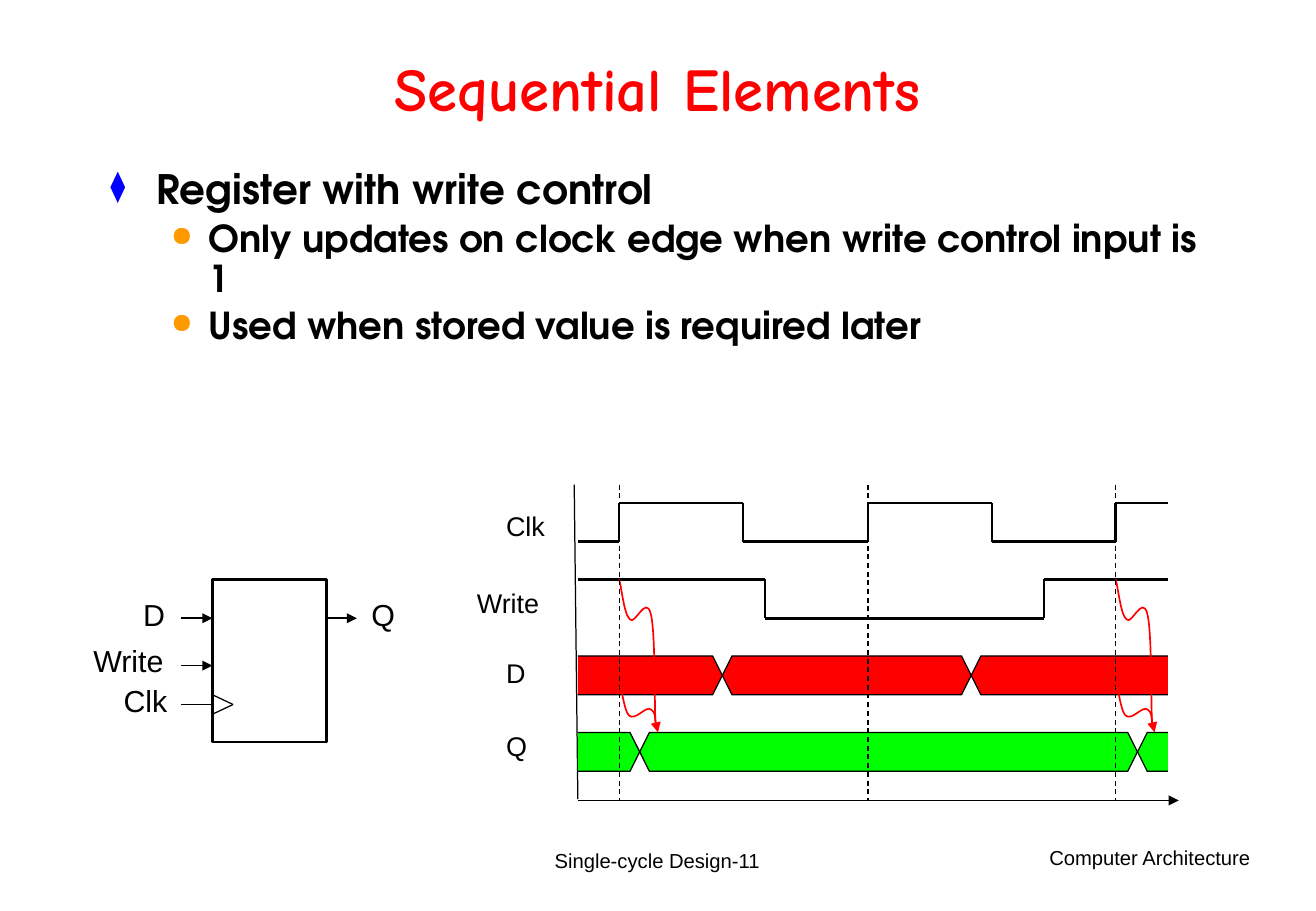
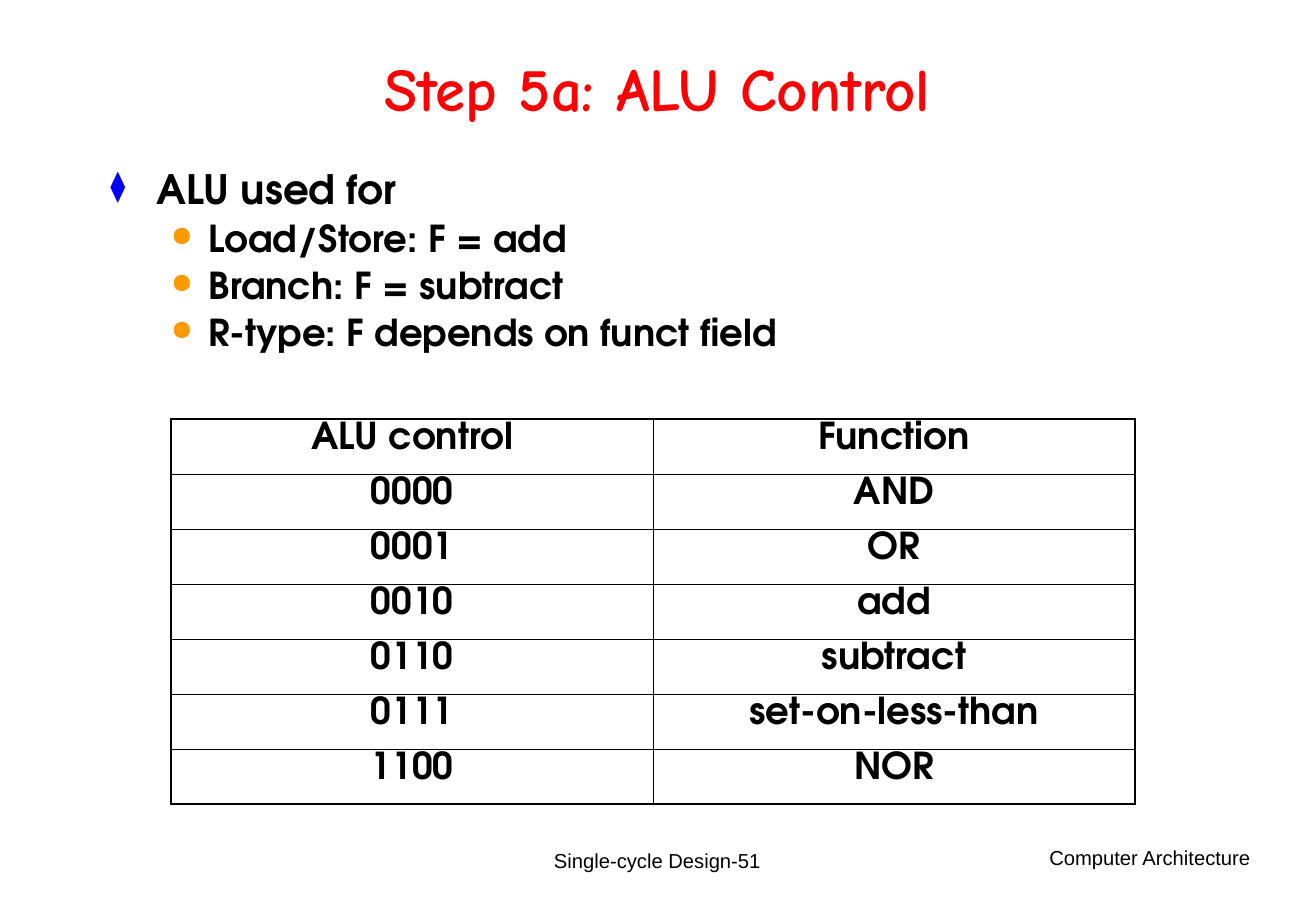
from itertools import pairwise
from lxml import etree
from pptx import Presentation
from pptx.dml.color import RGBColor as Rgb
from pptx.enum.dml import MSO_LINE as Dash
from pptx.enum.shapes import MSO_CONNECTOR as Conn, MSO_SHAPE as Kind
from pptx.enum.text import MSO_ANCHOR as Anchor, MSO_AUTO_SIZE as Auto, PP_ALIGN as Align
from pptx.oxml.ns import qn
from pptx.util import Pt

PX = 9144
HUE = {"ink": "000000", "red": "FF0000", "green": "00FF00", "blue": "0000FF", "amber": "FF9900"}
SANS, HEAD, BODY = "Arial", "Comic Neue", "TeX Gyre Adventor"
COURSE = "Computer Architecture"
LEVELS = [
    {"size": 24, "gap": 4.5, "left": 38, "hang": 38, "mark": "⧫", "tint": "blue"},
    {"size": 22, "gap": 4.1, "left": 81, "hang": 31, "mark": "●", "tint": "amber"},
]
SLIDES = [
    {"title": "Sequential Elements", "foot": "Single-cycle Design-11", "tall": 250, "list": [
        (0, "Register with write control"),
        (1, "Only updates on clock edge when write control input is 1"),
        (1, "Used when stored value is required later")]},
    {"title": "Step 5a: ALU Control", "foot": "Single-cycle Design-51", "tall": 259, "list": [
        (0, "ALU used for"),
        (1, "Load/Store: F = add"),
        (1, "Branch: F = subtract"),
        (1, "R-type: F depends on funct field")]},
]
CODES = [
    ("ALU control", "Function"), ("0000", "AND"), ("0001", "OR"), ("0010", "add"),
    ("0110", "subtract"), ("0111", "set-on-less-than"), ("1100", "NOR"),
]
PORTS = [("D", 108, 486, 38), ("Clk", 92, 557, 56), ("Q", 296, 486, 39), ("Write", 67, 524, 78)]
WAVES = [("Clk", 407, 415, 52), ("Write", 383, 478, 71), ("D", 407, 536, 36), ("Q", 407, 596, 37)]
PINS = [(149, 175, 509), (149, 175, 548), (269, 294, 509)]
START, STOP, SWING, SLANT = 476, 962, 32, 8
EDGES = [510, 612, 715, 817, 919]
RISES = EDGES[::2]
BANDS = [("red", 540, [595, 800]), ("green", 603, [527, 937])]
HOOKS = [
    (477, [(0, 0), (2, 6), (4, 29), (9, 33), (13, 38), (22, 13), (26, 28), (30, 42), (29, 101), (30, 120)], False),
    (556, [(0, 0), (1, 6), (4, 29), (8, 33), (13, 38), (22, 25), (26, 28), (30, 30), (30, 43), (32, 47)], True),
]


def emu(*nums):
    return [round(n * PX) for n in nums]


def color(name):
    return Rgb.from_string(HUE[name])


def sub(node, tag, **attrs):
    return etree.SubElement(node, qn(tag), attrs)


def write(frame, *lines, size=12, font=SANS, hue="ink", bold=False, align=Align.LEFT,
          anchor=Anchor.TOP, wrap=True, lead=None, levels=None):
    frame.word_wrap, frame.auto_size, frame.vertical_anchor = wrap, Auto.NONE, anchor
    for i, line in enumerate(lines):
        para = frame.paragraphs[0] if i == 0 else frame.add_paragraph()
        para.alignment, para.line_spacing = align, lead
        pts = size
        if levels:
            rule = levels[line[0]]
            line, pts = line[1], rule["size"]
            mark(para, rule)
            if i:
                para.space_before = Pt(rule["gap"])
        run = para.add_run()
        run.text = line
        face = run.font
        face.size, face.name, face.bold = Pt(pts), font, bold
        face.color.rgb = color(hue)


def mark(para, rule):
    props = para._p.get_or_add_pPr()
    left, hang = emu(rule["left"], rule["hang"])
    props.set("marL", str(left))
    props.set("indent", str(-hang))
    sub(sub(props, "a:buClr"), "a:srgbClr", val=HUE[rule["tint"]])
    sub(props, "a:buSzPct", val="75000")
    sub(props, "a:buChar", char=rule["mark"])


def box(slide, spot, *lines, **style):
    shape = slide.shapes.add_textbox(*emu(*spot))
    write(shape.text_frame, *lines, **style)
    return shape


def pen(shape, wide, hue="ink", arrow=False):
    shape.line.color.rgb = color(hue)
    shape.line.width = Pt(wide)
    if arrow:
        sub(shape.line._get_or_add_ln(), "a:tailEnd", type="triangle")


def wire(slide, a, b, wide=0.75, arrow=False, dash=False):
    line = slide.shapes.add_connector(Conn.STRAIGHT, *emu(*a, *b))
    sub(line._element.spPr, "a:effectLst")
    pen(line, wide)
    if dash:
        line.line.dash_style = Dash.DASH
    if arrow:
        sub(line.line._get_or_add_ln(), "a:tailEnd", type="triangle")


def trace(slide, points, wide=1.5):
    for a, b in pairwise(points):
        wire(slide, a, b, wide)


def outline(slide, points, close=False):
    first, *rest = [emu(*p) for p in points]
    form = slide.shapes.build_freeform(*first)
    form.add_line_segments(rest, close=close)
    shape = form.convert_to_shape()
    shape.shadow.inherit = False
    return shape


def hook(slide, points, arrow):
    shape = outline(slide, points)
    shape.fill.background()
    pen(shape, 1, "red", arrow)
    route = next(shape._element.iter(qn("a:path")))
    steps = route.findall(qn("a:lnTo"))
    for i in range(0, len(steps), 3):
        curve = sub(route, "a:cubicBezTo")
        for step in steps[i:i + 3]:
            curve.append(step[0])
            route.remove(step)


def band(slide, hue, top, cuts):
    mid, low = top + SWING // 2, top + SWING
    for a, b in pairwise([START, *cuts, STOP]):
        left = [(a + SLANT, low), (a, mid), (a + SLANT, top)]
        right = [(b - SLANT, top), (b, mid), (b - SLANT, low)]
        if a == START:
            points = [(a, top), *right, (a, low)]
        elif b == STOP:
            points = [(b, low), *left, (b, top)]
        else:
            points = left + right
        shape = outline(slide, points, START < a and b < STOP)
        shape.fill.solid()
        shape.fill.fore_color.rgb = color(hue)
        pen(shape, 0.75)


def block(slide):
    body = slide.shapes.add_shape(Kind.RECTANGLE, *emu(175, 477, 94, 134))
    body.shadow.inherit = False
    body.fill.background()
    pen(body, 1.5)
    for a, b, y in PINS:
        wire(slide, (a, y), (b, y), 1, arrow=True)
    wire(slide, (149, 580), (175, 580))
    trace(slide, [(175, 572), (192, 580), (175, 588)], 0.75)
    for name, x, y, wide in PORTS:
        box(slide, (x, y, wide, 40), name, size=18, wrap=False)


def timing(slide):
    high, low = 414, 446
    clock, level = [(START, low)], low
    for x in EDGES:
        clock.append((x, level))
        level = high + low - level
        clock.append((x, level))
    trace(slide, clock + [(STOP, level)])
    trace(slide, [(START, 477), (630, 477), (630, 509), (860, 509), (860, 477), (STOP, 477)])
    wire(slide, (START, 659), (971, 659), arrow=True)
    wire(slide, (START, 658), (473, 399))
    for name, x, y, wide in WAVES:
        box(slide, (x, y, wide, 37), name, size=16, wrap=False)
    for row in BANDS:
        band(slide, *row)
    for x in (RISES[0], RISES[-1]):
        for y, path, arrow in HOOKS:
            hook(slide, [(x + dx, y + dy) for dx, dy in path], arrow)
    for x in RISES:
        wire(slide, (x, 399), (x, 659), dash=True)


def border(cell, **sides):
    props = cell._tc.get_or_add_tcPr()
    for side, wide in sides.items():
        line = sub(props, f"a:ln{side}", w=str(Pt(wide)))
        sub(sub(line, "a:solidFill"), "a:srgbClr", val=HUE["ink"])


def grid(slide):
    rows, cols = len(CODES), len(CODES[0])
    table = slide.shapes.add_table(rows, cols, *emu(141, 345, 794, 317)).table
    thick, rule, thin = 1.08, 0.75, 0.45
    across = [thick] + [thin] * (cols - 1) + [thick]
    down = [thick, rule] + [thin] * (rows - 2) + [thick]
    for r, row in enumerate(CODES):
        for c, word in enumerate(row):
            cell = table.cell(r, c)
            write(cell.text_frame, word, size=22, font=BODY, bold=True, align=Align.CENTER, lead=0.9)
            border(cell, L=across[c], R=across[c + 1], T=down[r], B=down[r + 1])
            cell.fill.background()


def main():
    deck = Presentation()
    deck.slide_width, deck.slide_height = emu(1084, 750)
    layout = deck.slide_layouts[5]
    head = layout.placeholders[0]
    head.left, head.top, head.width, head.height = emu(81, 27, 921, 99)
    for i, (data, draw) in enumerate(zip(SLIDES, (lambda s: (block(s), timing(s)), grid))):
        slide = deck.slides.add_slide(layout)
        if i == 0:
            mast = box(slide, (753, 691, 287, 50), COURSE, align=Align.RIGHT)
            layout.shapes._spTree.append(mast._element)
        write(slide.shapes.title.text_frame, data["title"], size=36, font=HEAD, hue="red",
              bold=True, align=Align.CENTER, anchor=Anchor.MIDDLE, lead=0.85)
        box(slide, (370, 683, 343, 50), data["foot"], align=Align.CENTER, anchor=Anchor.MIDDLE)
        box(slide, (81, 135, 921, data["tall"]), *data["list"], font=BODY, bold=True,
            lead=0.9, levels=LEVELS)
        draw(slide)
    deck.save("out.pptx")


if __name__ == "__main__":
    main()
